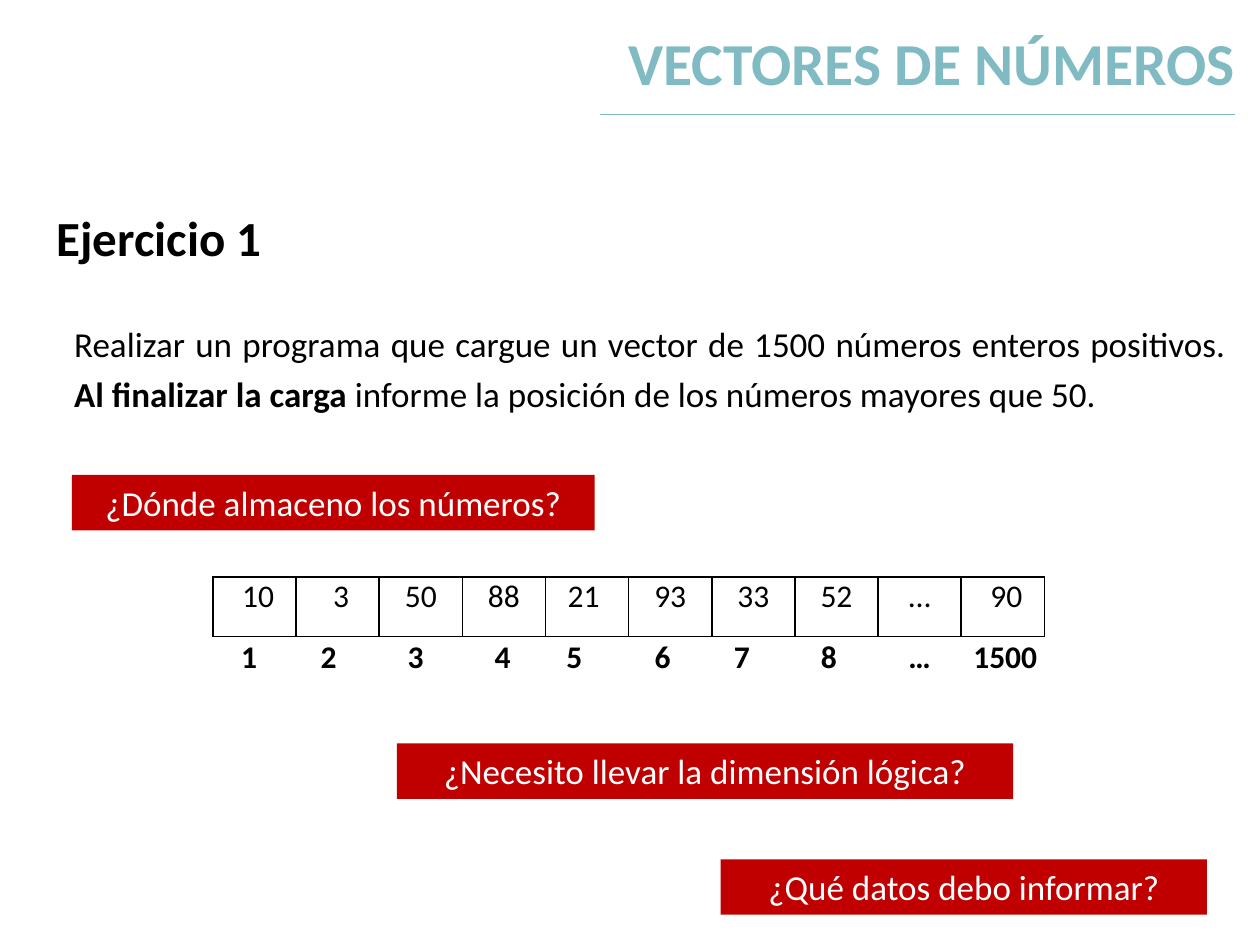
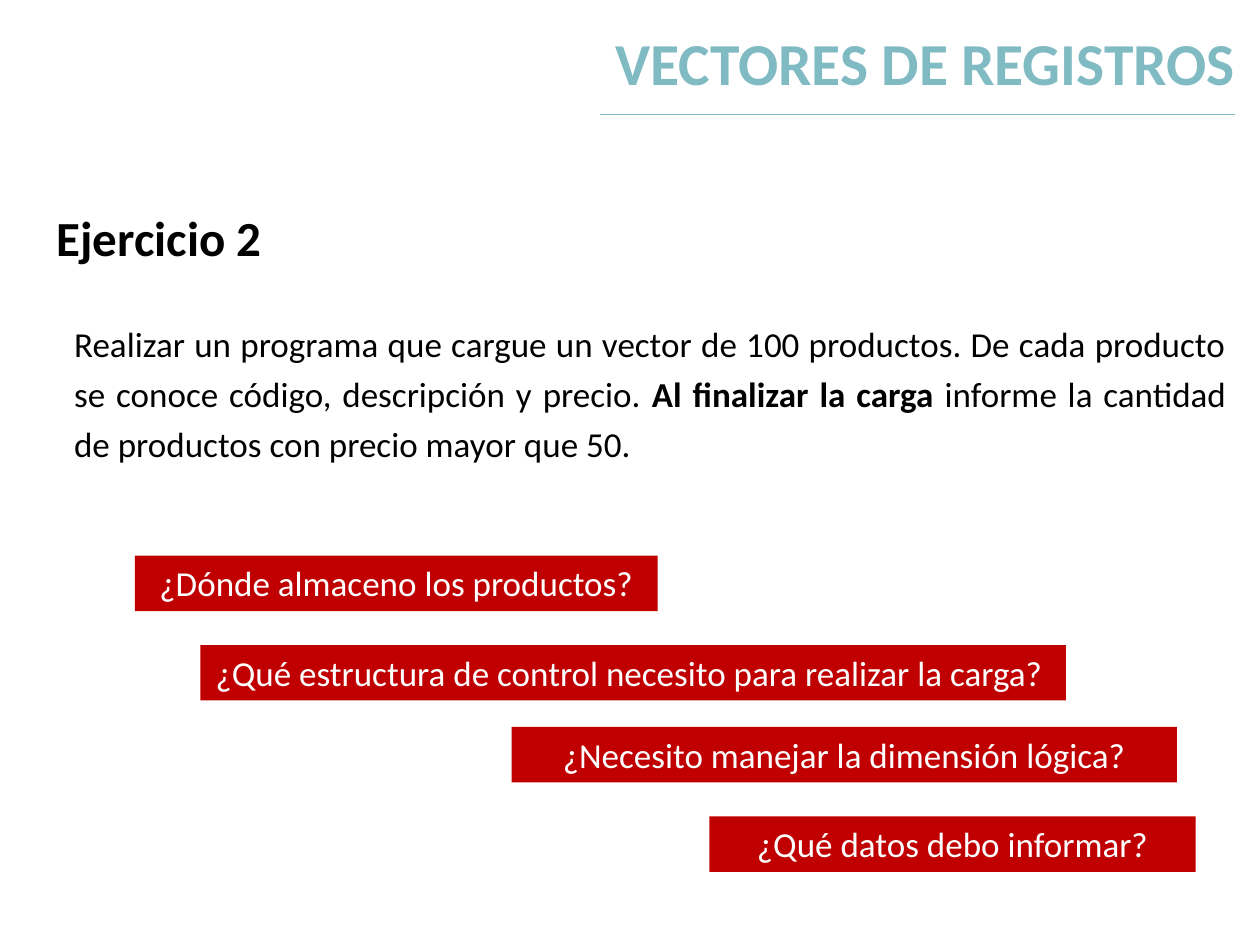
from lxml import etree
from pptx import Presentation
from pptx.dml.color import RGBColor
from pptx.enum.shapes import MSO_CONNECTOR, MSO_SHAPE
from pptx.enum.text import MSO_ANCHOR, PP_ALIGN
from pptx.oxml.ns import qn
from pptx.util import Inches, Pt

# Shared look
FONT = "Calibri"
TEAL, RED, BLACK, WHITE = "80BAC2", "C00000", "000000", "FFFFFF"
BAR_H = 0.44
KEY = "Al finalizar la carga"


def color(code):
    return RGBColor.from_string(code)


def write(frame, *parts, size=20, ink=BLACK, bold=False, align=PP_ALIGN.LEFT,
          lead=None, anchor=MSO_ANCHOR.TOP, stops=()):
    """Fill a frame with one paragraph; parts equal to KEY are bold."""
    frame.word_wrap = True
    frame.vertical_anchor = anchor
    para = frame.paragraphs[0]
    if stops:
        tabs = etree.SubElement(para._p.get_or_add_pPr(), qn("a:tabLst"))
        for stop in stops:
            etree.SubElement(tabs, qn("a:tab"), pos=str(Inches(stop)), algn="ctr")
    para.alignment = align
    if lead:
        para.line_spacing = lead
    for part in parts:
        run = para.add_run()
        run.text = part
        font = run.font
        font.name, font.size = FONT, Pt(size)
        font.bold = bold or part == KEY
        font.color.rgb = color(ink)


def add_text(slide, x, y, w, h, *parts, **form):
    box = slide.shapes.add_textbox(Inches(x), Inches(y), Inches(w), Inches(h))
    write(box.text_frame, *parts, **form)
    return box


def add_bar(slide, x, y, w, text):
    """Red bar that asks a question."""
    bar = slide.shapes.add_shape(MSO_SHAPE.RECTANGLE, Inches(x), Inches(y),
                                 Inches(w), Inches(BAR_H))
    bar.shadow.inherit = False
    bar.fill.solid()
    bar.fill.fore_color.rgb = color(RED)
    bar.line.fill.background()
    write(bar.text_frame, text, ink=WHITE, align=PP_ALIGN.CENTER)


def add_rule(slide, x, y, end):
    rule = slide.shapes.add_connector(MSO_CONNECTOR.STRAIGHT, Inches(x), Inches(y),
                                      Inches(end), Inches(y))
    rule.line.color.rgb = color(TEAL)
    rule.line.width = Pt(0.75)
    etree.SubElement(rule._element.spPr, qn("a:effectLst"))


def add_edges(cell):
    props = cell._tc.get_or_add_tcPr()
    for spot, side in enumerate(("lnL", "lnR", "lnT", "lnB")):
        edge = etree.Element(qn("a:" + side), w=str(Pt(1)))
        fill = etree.SubElement(edge, qn("a:solidFill"))
        etree.SubElement(fill, qn("a:srgbClr"), val=BLACK)
        props.insert(spot, edge)


def add_vector(slide, x, y, step, h, items):
    """One-row table of the vector's values."""
    table = slide.shapes.add_table(1, len(items), Inches(x), Inches(y),
                                   Inches(step * len(items)), Inches(h)).table
    table.first_row = table.horz_banding = False
    table.rows[0].height = Inches(h)
    for col, item in enumerate(items):
        table.columns[col].width = Inches(step)
        cell = table.cell(0, col)
        cell.margin_left = cell.margin_right = Inches(0.07)
        cell.margin_top = cell.margin_bottom = 0
        cell.fill.background()
        write(cell.text_frame, item, size=18, align=PP_ALIGN.CENTER)
        add_edges(cell)


def add_page(deck, title, head, task, task_h, bars):
    """Slide with title, rule, exercise heading, task and questions."""
    slide = deck.slides.add_slide(deck.slide_layouts[6])
    add_text(slide, 0.49, 2.44, 9.34, task_h, *task,
             align=PP_ALIGN.JUSTIFY, lead=1.2)
    box = add_text(slide, 0.35, 1.49, 9.34, 0.72, head, size=28, bold=True,
                   anchor=MSO_ANCHOR.BOTTOM)
    box.text_frame.margin_bottom = Inches(0.1)
    add_text(slide, 0.9, 0.22, 9, 1.17, title, size=34, ink=TEAL, bold=True,
             align=PP_ALIGN.RIGHT, lead=0.9)
    add_rule(slide, 4.76, 0.91, 9.8)
    for bar in bars:
        add_bar(slide, *bar)
    return slide


def main():
    deck = Presentation()
    deck.slide_width, deck.slide_height = Inches(10), Inches(7.5)

    # Exercise 1: numbers
    slide = add_page(
        deck, "VECTORES DE NÚMEROS", "Ejercicio 1",
        ("Realizar un programa que cargue un vector de 1500 números enteros positivos. ",
         KEY, " informe la posición de los números mayores que 50. "), 0.91,
        ((0.57, 3.77, 4.15, "¿Dónde almaceno los números?"),
         (3.15, 5.9, 4.89, "¿Necesito llevar la dimensión lógica?"),
         (5.72, 6.82, 3.86, "¿Qué datos debo informar?")))
    add_vector(slide, 1.69, 4.58, 0.66, 0.47,
               (" 10", " 3", "50", "88", "21 ", "93", "33", "52", "…", " 90"))
    marks = [str(n) for n in range(1, 9)] + ["…", "1500"]
    add_text(slide, 1.7, 5.01, 7.4, 0.4, "".join("\t" + mark for mark in marks),
             size=18, bold=True,
             stops=(0.18, 0.81, 1.5, 2.19, 2.76, 3.46, 4.09, 4.78, 5.5, 6.18))

    # Exercise 2: records
    add_page(
        deck, "VECTORES DE REGISTROS", "Ejercicio 2",
        ("Realizar un programa que cargue un vector de 100 productos. De cada "
         "producto se conoce código, descripción y precio. ",
         KEY, " informe la cantidad de productos con precio mayor que 50. "), 1.32,
        ((1.07, 4.41, 4.15, "¿Dónde almaceno los productos?"),
         (1.59, 5.12, 6.87,
          "¿Qué estructura de control necesito para realizar la carga? "),
         (4.06, 5.77, 5.28, "¿Necesito manejar la dimensión lógica?"),
         (5.63, 6.48, 3.86, "¿Qué datos debo informar?")))

    deck.save("out.pptx")


if __name__ == "__main__":
    main()
